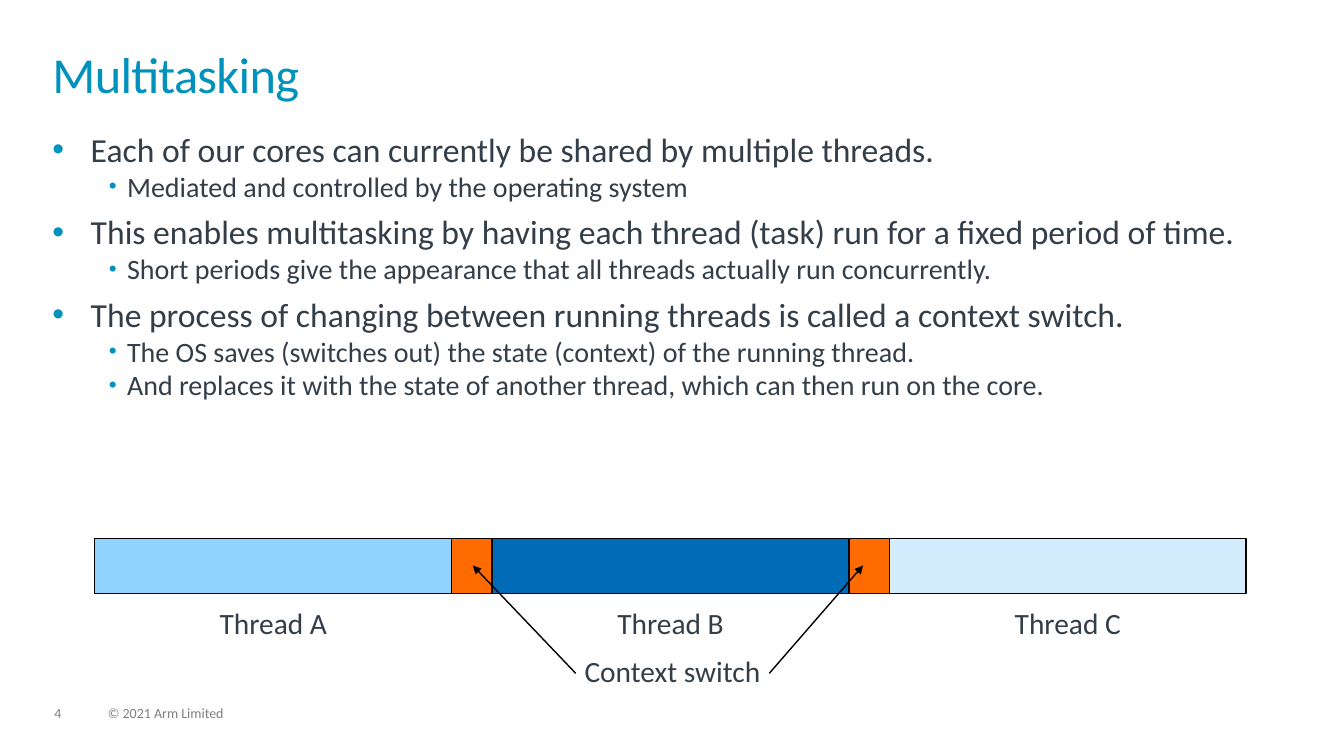
import pptx
import pptx.util
import pptx.dml.color
import pptx.enum.shapes
import pptx.enum.text
import pptx.oxml.ns
from lxml import etree
from pptx.util import Inches

COLORS = {
    "title": "0091BD", "text": "333E48", "footer": "7F7F7F", "line": "000000",
    "thread_a": "92D2FF", "thread_b": "006BB6", "thread_c": "D3EDFF",
    "switch": "FF6B00",
}
qn = pptx.oxml.ns.qn


def rgb(name):
    return pptx.dml.color.RGBColor.from_string(COLORS[name])


def add_text(box, lines, size, color, spacing=1.0, side=0, wrap=True, align=None):
    """Text box from (text, level) lines; level None has no bullet."""
    s = slide.shapes.add_textbox(*[Inches(v) for v in box])
    tf = s.text_frame
    tf.word_wrap = wrap
    tf.margin_top = tf.margin_bottom = 0
    tf.margin_left = tf.margin_right = Inches(side)
    for i, (text, level) in enumerate(lines):
        p = tf.paragraphs[0] if i == 0 else tf.add_paragraph()
        p.line_spacing = spacing
        p.alignment = align
        if level is not None:
            p.level = level
            if level == 0 and i > 0:
                p.space_before = pptx.util.Pt(6)
            left, hanging, scale = [(0.38, 0.38, 100), (0.74, 0.18, 80)][level]
            pPr = p._p.get_or_add_pPr()
            pPr.set("marL", str(Inches(left)))
            pPr.set("indent", str(-Inches(hanging)))
            bullet_color = etree.SubElement(pPr, qn("a:buClr"))
            etree.SubElement(bullet_color, qn("a:srgbClr"), val=COLORS["title"])
            etree.SubElement(pPr, qn("a:buSzPct"), val=str(scale * 1000))
            etree.SubElement(pPr, qn("a:buFont"), typeface="Arial")
            etree.SubElement(pPr, qn("a:buChar"), char="•")
        r = p.add_run()
        r.text = text
        r.font.name = "Calibri"
        r.font.size = pptx.util.Pt(20 if level == 1 else size)
        r.font.color.rgb = rgb(color)
    return s


prs = pptx.Presentation()
prs.slide_width, prs.slide_height = Inches(13.33), Inches(7.5)
slide = prs.slides.add_slide(prs.slide_layouts[6])

# Footer
add_text((0.54, 7.01, 0.34, 0.15), [("4", None)], 10, "footer", 0.9)
add_text((1.07, 7.01, 5.07, 0.15), [("© 2021 Arm Limited", None)], 10, "footer", 0.9)

# Title, slightly tightened
title = add_text((0.52, 0.52, 12.28, 0.72), [("Multitasking", None)], 36, "title", 0.85)
title.text_frame.paragraphs[0].runs[0].font._element.set("spc", "-50")

# Bullets
add_text((0.52, 1.28, 12.28, 5.41), [
    ("Each of our cores can currently be shared by multiple threads.", 0),
    ("Mediated and controlled by the operating system", 1),
    ("This enables multitasking by having each thread (task) run for a fixed period of time.", 0),
    ("Short periods give the appearance that all threads actually run concurrently.", 1),
    ("The process of changing between running threads is called a context switch.", 0),
    ("The OS saves (switches out) the state (context) of the running thread.", 1),
    ("And replaces it with the state of another thread, which can then run on the core.", 1),
], 24, "text")

# Timeline: threads separated by context switches
LEFT, TOP, HEIGHT = 0.94, 5.34, 0.55
THREAD_W, SWITCH_W = 3.54, 0.4
STEP = THREAD_W + SWITCH_W
threads = [(LEFT + i * STEP, THREAD_W, f"thread_{c}") for i, c in enumerate("abc")]
switches = [(LEFT + i * STEP + THREAD_W, SWITCH_W, "switch") for i in range(2)]
for x, width, color in threads + switches:
    s = slide.shapes.add_shape(pptx.enum.shapes.MSO_SHAPE.RECTANGLE,
                               Inches(x), Inches(TOP), Inches(width), Inches(HEIGHT))
    s.shadow.inherit = False
    s.fill.solid()
    s.fill.fore_color.rgb = rgb(color)
    s.line.color.rgb = rgb("line")
    s.line.width = pptx.util.Pt(1)

# Labels
center = pptx.enum.text.PP_ALIGN.CENTER
LABEL_W = 1.08
for (x, width, color), letter in zip(threads, "ABC"):
    add_text((x + (width - LABEL_W) / 2, 6.04, LABEL_W, 0.32),
             [(f"Thread {letter}", None)], 21, "text", 0.9, wrap=False, align=center)
switch_label = add_text((5.71, 6.52, 1.92, 0.32), [("Context switch", None)],
                        21, "text", 0.9, side=0.08, wrap=False, align=center)

# Arrows from the label's sides to the switches
for side, x in [(3, 8.56), (1, 4.69)]:
    c = slide.shapes.add_connector(pptx.enum.shapes.MSO_CONNECTOR.STRAIGHT,
                                   Inches(6.67), Inches(6.68), Inches(x), Inches(5.61))
    c.begin_connect(switch_label, side)
    c.line.color.rgb = rgb("line")
    c.line.width = pptx.util.Pt(1)
    etree.SubElement(c.line._get_or_add_ln(), qn("a:tailEnd"), type="triangle")
    etree.SubElement(c._element.spPr, qn("a:effectLst"))

prs.save("out.pptx")
